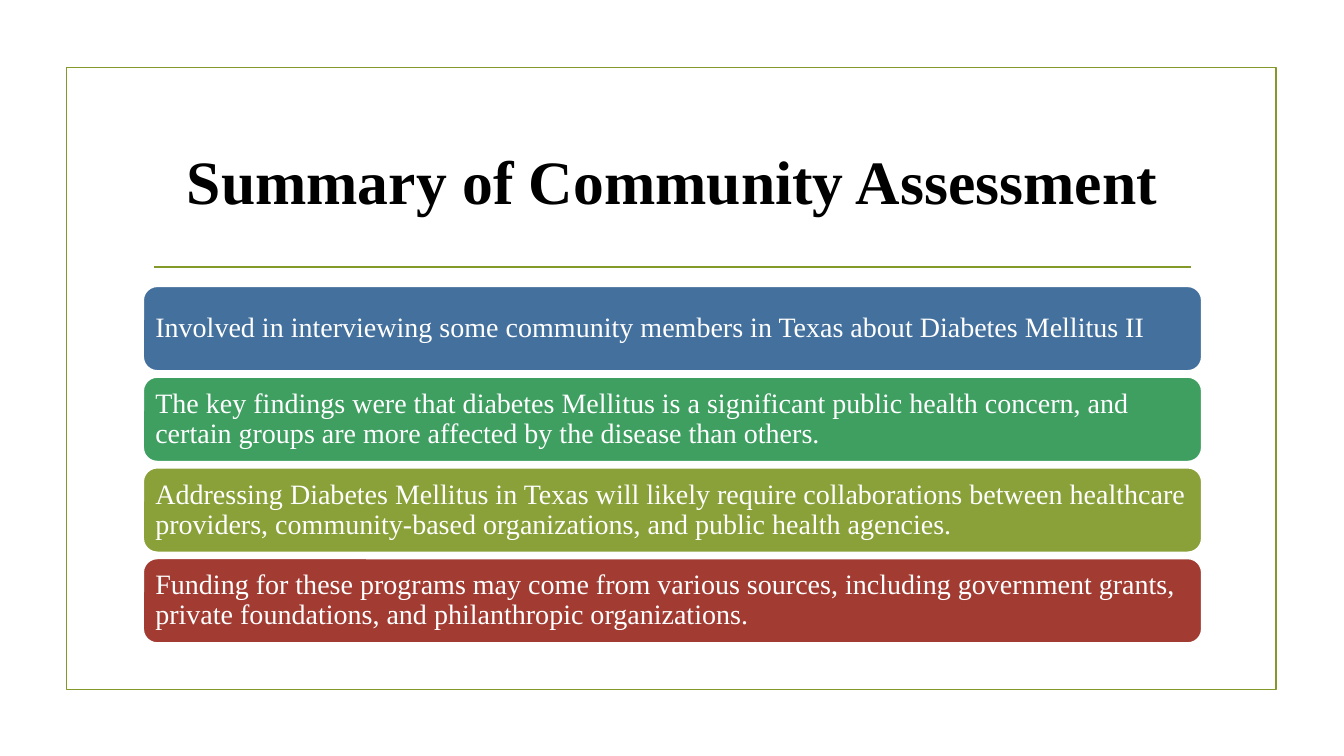
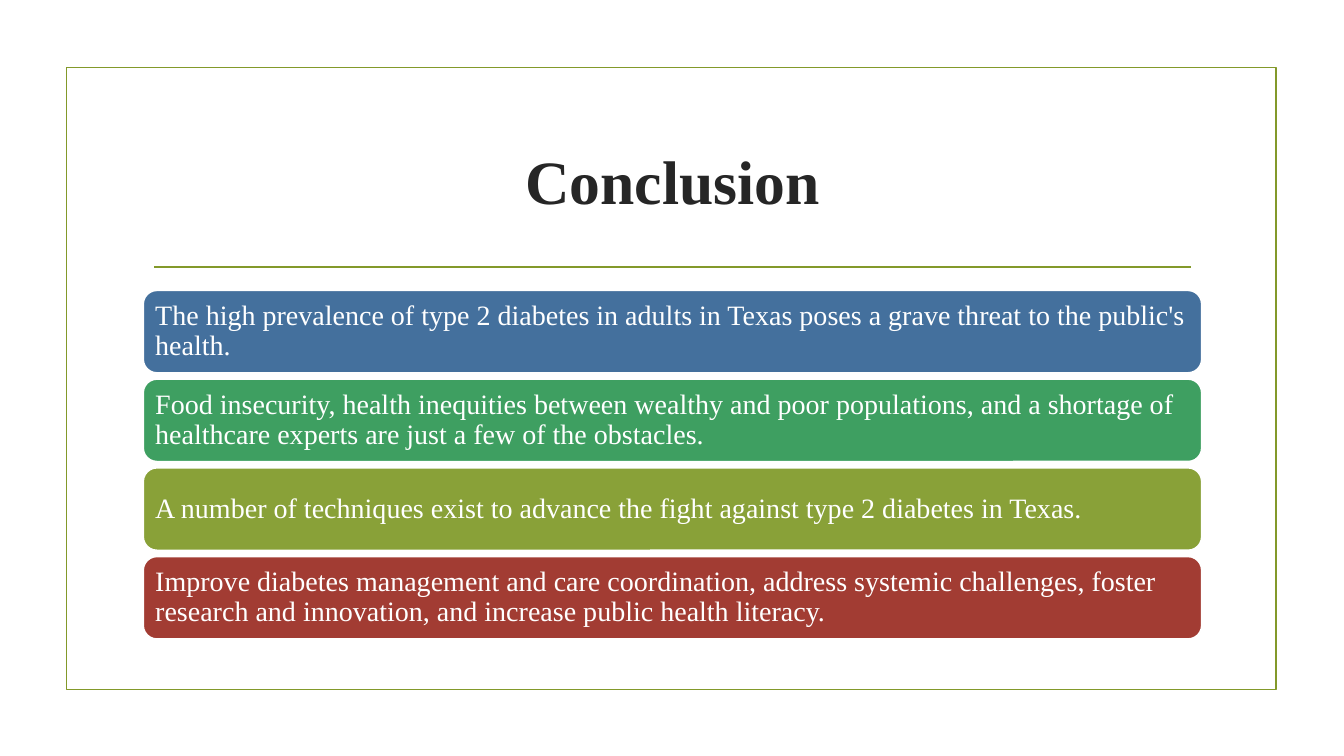
from pptx import Presentation
from pptx import util as u
from pptx.dml.color import RGBColor
from pptx.enum import shapes, text
from pptx.oxml.ns import qn
from lxml import etree

DECK = [
    dict(title="Summary of Community Assessment", ink="000000",
         top=284, high=84, points=[
             "Involved in interviewing some community members in Texas about Diabetes Mellitus II",
             "The key findings were that diabetes Mellitus is a significant public health concern, and certain groups are more affected by the disease than others.",
             "Addressing Diabetes Mellitus in Texas will likely require collaborations between healthcare providers, community-based organizations, and public health agencies.",
             "Funding for these programs may come from various sources, including government grants, private foundations, and philanthropic organizations.",
         ]),
    dict(title="Conclusion", ink="262626",
         top=288, high=82, points=[
             "The high prevalence of type 2 diabetes in adults in Texas poses a grave threat to the public's health.",
             "Food insecurity, health inequities between wealthy and poor populations, and a shortage of healthcare experts are just a few of the obstacles.",
             "A number of techniques exist to advance the fight against type 2 diabetes in Texas.",
             "Improve diabetes management and care coordination, address systemic challenges, foster research and innovation, and increase public health literacy.",
         ]),
]

THEME = dict(
    font="Times New Roman", head=44, body=20, line=1.25,
    trim="83992A", white="FFFFFF",
    bands=["44709D", "3E9F61", "89A138", "A23C33"],
)
LEFT, WIDE, GAP, PAD = 142, 1050, 6, 8
FRAME = (66, 67, 1200, 617)
RULE = (153, 265, 1181, 265)
HEAD = (LEFT, 107, WIDE, 143)


def px(n):
    return u.Emu(n * 9144)


def rgb(code):
    return RGBColor.from_string(code)


def stroke(item, color):
    item.line.color.rgb = rgb(color)
    item.line.width = u.Pt(THEME["line"])


def write(item, words, size, color, bold=False, align="LEFT", space=1.0, pad=10):
    frame = item.text_frame
    frame.word_wrap = True
    frame.vertical_anchor = text.MSO_ANCHOR.MIDDLE
    frame.margin_left = frame.margin_right = px(pad)
    frame.margin_top = frame.margin_bottom = px(pad)
    para = frame.paragraphs[0]
    para.alignment = text.PP_ALIGN[align]
    para.line_spacing = space
    run = para.add_run()
    run.text = words
    run.font.name = THEME["font"]
    run.font.size = u.Pt(size)
    run.font.bold = bold
    run.font.color.rgb = rgb(color)


def block(slide, kind, box, line, fill=None):
    item = slide.shapes.add_shape(kind, *map(px, box))
    item.shadow.inherit = False
    stroke(item, line)
    if fill:
        item.fill.solid()
        item.fill.fore_color.rgb = rgb(fill)
    else:
        item.fill.background()
    return item


def base(deck, title, ink):
    slide = deck.slides.add_slide(deck.slide_layouts[6])
    block(slide, shapes.MSO_SHAPE.RECTANGLE, FRAME, THEME["trim"])
    rule = slide.shapes.add_connector(shapes.MSO_CONNECTOR.STRAIGHT, *map(px, RULE))
    stroke(rule, THEME["trim"])
    etree.SubElement(rule._element.spPr, qn("a:effectLst"))
    head = slide.shapes.add_textbox(*map(px, HEAD))
    write(head, title, THEME["head"], ink, bold=True, align="CENTER")
    return slide


def stack(slide, points, top, high):
    for row, (words, fill) in enumerate(zip(points, THEME["bands"])):
        box = (LEFT, top + row * (high + GAP), WIDE, high)
        band = block(slide, shapes.MSO_SHAPE.ROUNDED_RECTANGLE, box, THEME["white"], fill)
        write(band, words, THEME["body"], THEME["white"], space=0.9, pad=PAD)


def main():
    deck = Presentation()
    deck.slide_width, deck.slide_height = px(1333), px(750)
    for page in DECK:
        slide = base(deck, page["title"], page["ink"])
        stack(slide, page["points"], page["top"], page["high"])
    deck.save("out.pptx")


if __name__ == "__main__":
    main()
